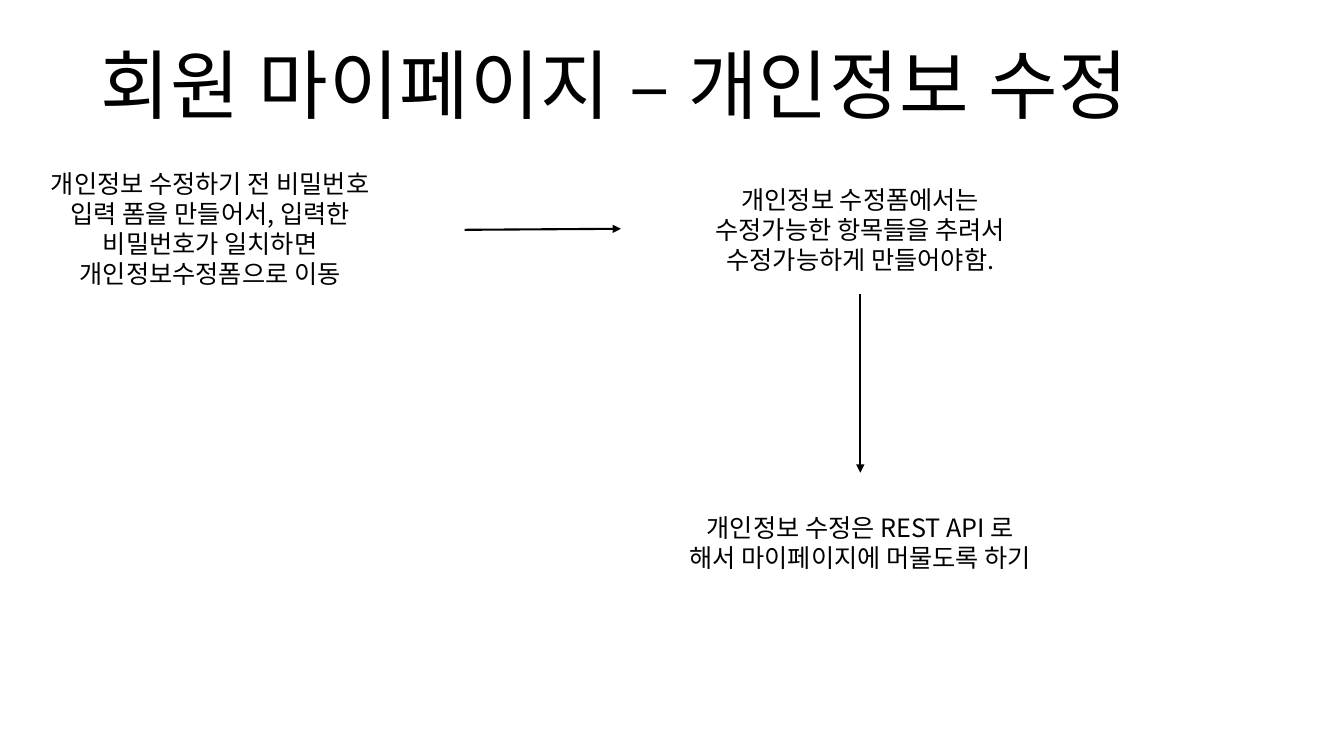
"""Builds the flow slide for editing personal details on the member page."""
from lxml import etree
from pptx import Presentation
from pptx import util as u
from pptx.dml.color import RGBColor
from pptx.enum import shapes, text
from pptx.oxml.ns import qn

COLORS = {"ink": "000000", "paper": "FFFFFF"}
FONT = "Noto Sans CJK KR"
LINE_PITCH = 1.19

deck = Presentation()
deck.slide_width, deck.slide_height = u.Inches(13.33), u.Inches(7.5)
column, row = deck.slide_width / 160, deck.slide_height / 90
page = deck.slides.add_slide(deck.slide_layouts[6])
page.background.fill.solid()
page.background.fill.fore_color.rgb = RGBColor.from_string(COLORS["paper"])


def add_text(words, left, top, width, height, size=18, wrap=True, tracking=0):
    box = page.shapes.add_textbox(
        int(left * column), int(top * row), int(width * column), int(height * row))
    frame = box.text_frame
    frame.word_wrap = wrap
    frame.vertical_anchor = text.MSO_ANCHOR.TOP
    frame.margin_top = u.Inches(0.04 + size * 0.0005)
    para = frame.paragraphs[0]
    para.alignment = text.PP_ALIGN.CENTER
    para.line_spacing = u.Pt(round(size * LINE_PITCH, 1))
    span = para.add_run()
    span.text = words
    span.font.size = u.Pt(size)
    span.font.name = FONT
    span.font.color.rgb = RGBColor.from_string(COLORS["ink"])
    span.font._element.set("spc", str(tracking))
    etree.SubElement(span.font._element, qn("a:ea"), typeface=FONT)


add_text("회원 마이페이지 – 개인정보 수정", 4.2, 3.84, 138, 12.12,
         size=54, wrap=False, tracking=70)

step_width, form_left = 43.56, 80.64
form_middle = form_left + step_width / 2
steps = [
    ("개인정보 수정하기 전 비밀번호 입력 폼을 만들어서, 입력한 비밀번호가 일치하면 개인정보수정폼으로 이동",
     3.24, 19.44, 19.44),
    ("개인정보 수정폼에서는 수정가능한 항목들을 추려서 수정가능하게 만들어야함.",
     form_left, 21.36, 12.12),
    ("개인정보 수정은 REST API 로 해서 마이페이지에 머물도록 하기",
     form_left, 60.48, 12.12),
]
for words, left, top, height in steps:
    add_text(words, left, top, step_width, height)

arrows = [
    (55.32, 27.36, 73.92, 27.24),
    (form_middle, 35.04, form_middle, 56.28),
]
for start_x, start_y, end_x, end_y in arrows:
    arrow = page.shapes.add_connector(
        shapes.MSO_CONNECTOR.STRAIGHT,
        int(start_x * column), int(start_y * row), int(end_x * column), int(end_y * row))
    arrow.line.color.rgb = RGBColor.from_string(COLORS["ink"])
    arrow.line.width = u.Pt(1.5)
    etree.SubElement(arrow.line._get_or_add_ln(), qn("a:tailEnd"), type="triangle")
    etree.SubElement(arrow._element.spPr, qn("a:effectLst"))

deck.save("out.pptx")
